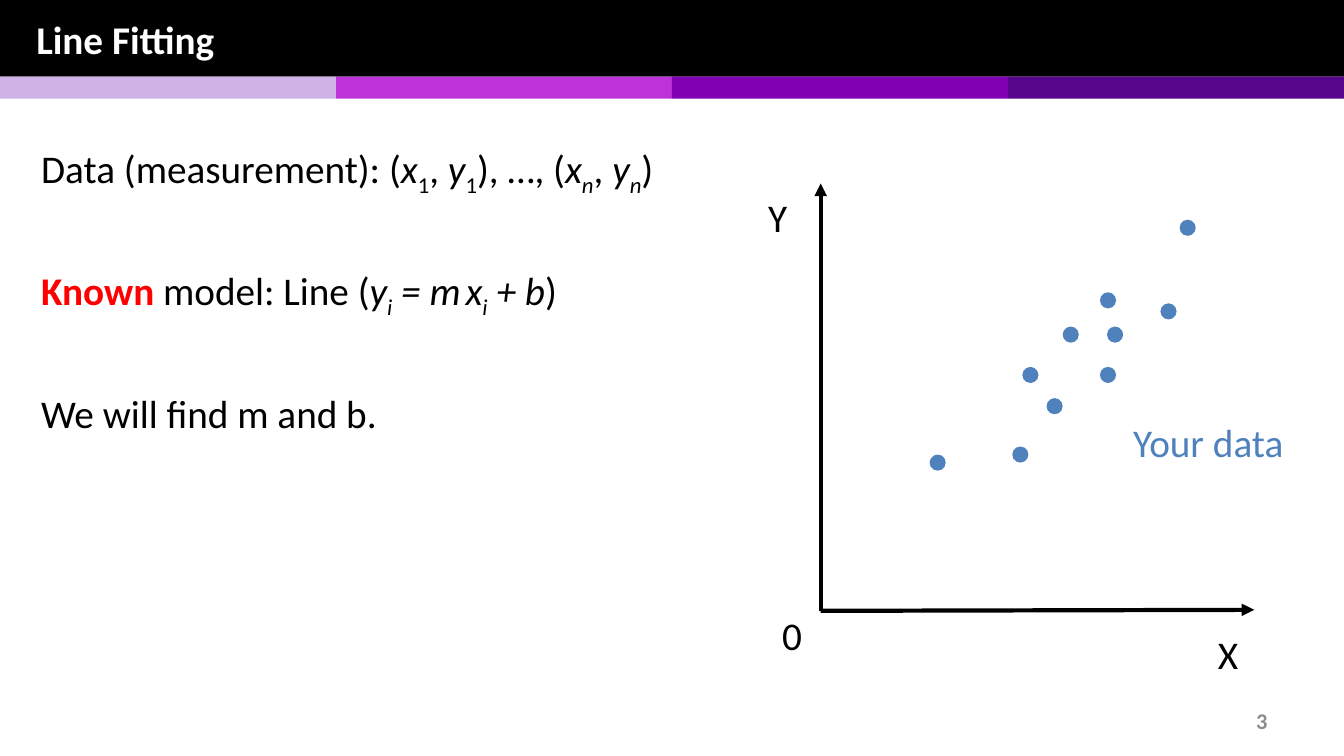
from dataclasses import dataclass

from lxml import etree
from pptx import Presentation
from pptx.dml.color import RGBColor
from pptx.enum.shapes import MSO_CONNECTOR, MSO_SHAPE
from pptx.enum.text import MSO_ANCHOR, MSO_AUTO_SIZE, PP_ALIGN
from pptx.oxml.ns import qn
from pptx.util import Inches, Pt

STRAIGHT = MSO_CONNECTOR.STRAIGHT
RECTANGLE, OVAL = MSO_SHAPE.RECTANGLE, MSO_SHAPE.OVAL
MIDDLE, TOP = MSO_ANCHOR.MIDDLE, MSO_ANCHOR.TOP
LEFT, RIGHT = PP_ALIGN.LEFT, PP_ALIGN.RIGHT
GROW, FIXED = MSO_AUTO_SIZE.SHAPE_TO_FIT_TEXT, MSO_AUTO_SIZE.NONE


@dataclass(frozen=True)
class Theme:
    font: str = "Calibri"
    body_size: int = 28
    gap_size: int = 16
    number_size: int = 16
    axis_width: int = 3
    black: str = "000000"
    white: str = "FFFFFF"
    red: str = "FF0000"
    blue: str = "4F81BD"
    gray: str = "8C8C8C"
    stripes: tuple = ("CFB3E6", "BD33DA", "8000B3", "57058A")


THEME = Theme()


@dataclass(frozen=True)
class Span:
    text: str
    italic: bool = False
    subscript: bool = False
    bold: bool = False
    color: str = THEME.black
    size: int = THEME.body_size


def variable(name, index, index_italic=True):
    return [Span(name, italic=True), Span(index, italic=index_italic, subscript=True)]


class SlideBuilder:
    def __init__(self, theme, page):
        self.theme = theme
        self.page = page

    def fill_text(self, frame, spans, align=LEFT, anchor=TOP, spacing=1.0, auto_size=FIXED):
        frame.word_wrap = True
        frame.auto_size = auto_size
        frame.vertical_anchor = anchor
        para = frame.paragraphs[0]
        para.alignment = align
        para.line_spacing = spacing
        for span in spans:
            run = para.add_run()
            run.text = span.text
            font = run.font
            font.name = self.theme.font
            font.size = Pt(span.size)
            font.bold = span.bold
            font.italic = span.italic
            font.color.rgb = RGBColor.from_string(span.color)
            if span.subscript:
                run._r.get_or_add_rPr().set("baseline", "-25000")

    def title(self, text, left, top, width, height):
        title = self.page.shapes.title
        title.left, title.top = Inches(left), Inches(top)
        title.width, title.height = Inches(width), Inches(height)
        self.page.shapes.element.append(title.element)
        span = Span(text, bold=True, color=self.theme.white)
        self.fill_text(title.text_frame, [span], anchor=MIDDLE)

    def text(self, spans, left, top, width, height=0.73):
        box = self.page.shapes.add_textbox(Inches(left), Inches(top), Inches(width), Inches(height))
        self.fill_text(box.text_frame, spans, spacing=1.5, auto_size=GROW)

    def page_number(self, number, left, top, width, height):
        box = self.page.shapes.add_textbox(Inches(left), Inches(top), Inches(width), Inches(height))
        span = Span(number, bold=True, color=self.theme.gray, size=self.theme.number_size)
        self.fill_text(box.text_frame, [span], align=RIGHT, anchor=MIDDLE)

    def shape(self, kind, left, top, width, height, color):
        shape = self.page.shapes.add_shape(
            kind, Inches(left), Inches(top), Inches(width), Inches(height))
        shape.shadow.inherit = False
        shape.fill.solid()
        shape.fill.fore_color.rgb = RGBColor.from_string(color)
        shape.line.fill.background()

    def axis(self, start, end):
        axis = self.page.shapes.add_connector(STRAIGHT, *map(Inches, start + end))
        axis.line.width = Pt(self.theme.axis_width)
        axis.line.color.rgb = RGBColor.from_string(self.theme.black)
        properties = axis.element.spPr
        etree.SubElement(properties.find(qn("a:ln")), qn("a:tailEnd"), type="triangle")
        etree.SubElement(properties, qn("a:effectLst"))


def main():
    deck = Presentation()
    deck.slide_width, deck.slide_height = Inches(13.33), Inches(7.5)
    builder = SlideBuilder(THEME, deck.slides.add_slide(deck.slide_layouts[5]))

    slide_width, header_height = 13.33, 0.76
    builder.shape(RECTANGLE, 0, 0, slide_width, header_height, THEME.black)
    stripe_width = slide_width / len(THEME.stripes)
    for index, color in enumerate(THEME.stripes):
        builder.shape(RECTANGLE, index * stripe_width, header_height, stripe_width, 0.22, color)
    builder.title("Line Fitting", 0.26, 0.01, 12.82, 0.75)
    builder.page_number("3", 9.56, 6.95, 3.11, 0.4)

    origin = (8.14, 6.06)
    builder.axis(origin, (8.14, 1.82))
    builder.axis(origin, (12.44, 6.05))

    measurement = [
        Span("Data (measurement): ("), *variable("x", "1", False),
        Span(", "), *variable("y", "1", False),
        Span("), …, ("), *variable("x", "n"),
        Span(", "), *variable("y", "n"), Span(")"),
    ]
    model = [
        Span("Known", bold=True, color=THEME.red), Span(" model: Line ("),
        *variable("y", "i"), Span(" = m", italic=True),
        Span(" ", italic=True, size=THEME.gap_size),
        *variable("x", "i"), Span(" + b", italic=True), Span(")"),
    ]
    builder.text(measurement, 0.31, 1.12, 8.29)
    builder.text(model, 0.31, 2.33, 6.67, 0.81)
    builder.text([Span("We will find m and b.")], 0.31, 3.58, 6.67)

    dot_size = 0.16
    data_points = [
        (9.22, 4.51), (10.04, 4.43), (10.14, 3.64), (10.91, 3.64), (10.91, 2.9),
        (11.51, 3.01), (10.54, 3.24), (11.7, 2.18), (10.38, 3.95), (10.98, 3.24),
    ]
    for left, top in data_points:
        builder.shape(OVAL, left, top, dot_size, dot_size, THEME.blue)

    for label, left, top in [("X", 11.98, 5.97), ("Y", 7.52, 1.64), ("0", 7.66, 5.78)]:
        builder.text([Span(label)], left, top, 0.5)
    builder.text([Span("Your data", color=THEME.blue)], 11.14, 3.87, 1.81)

    deck.save("out.pptx")


if __name__ == "__main__":
    main()
